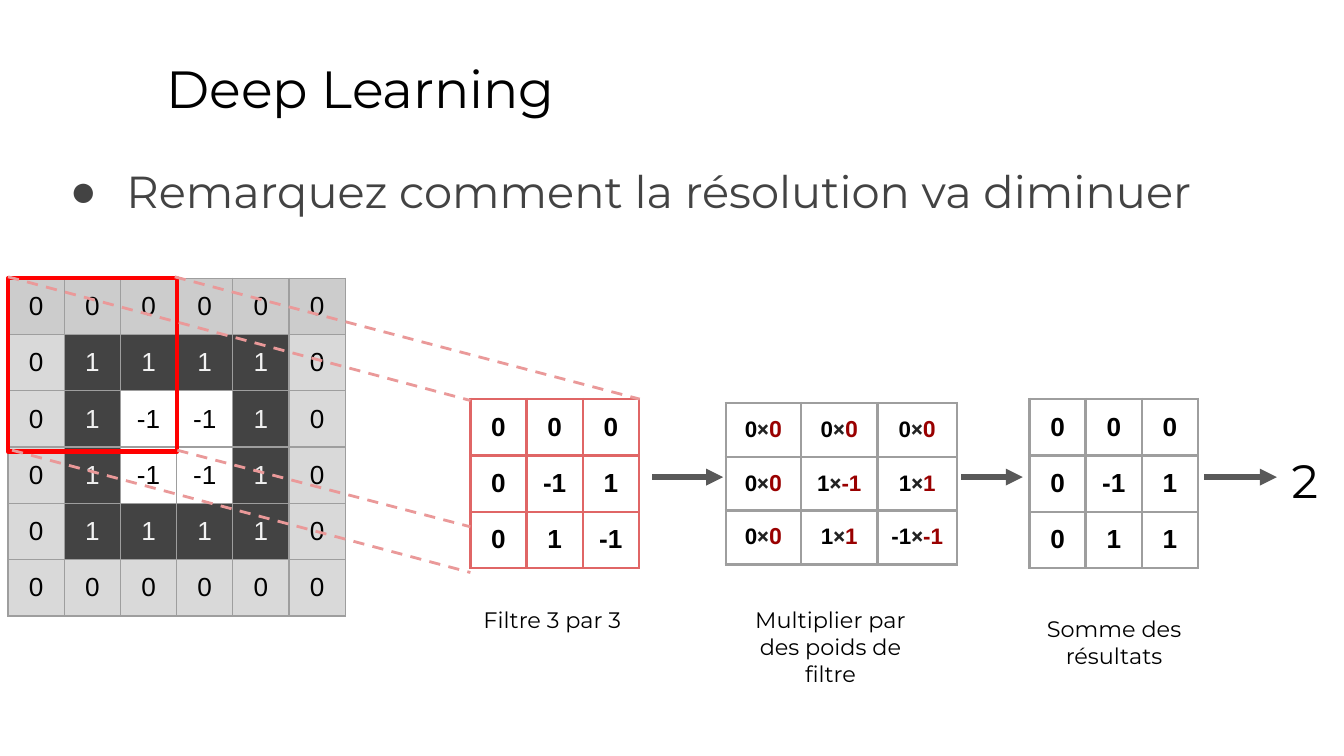
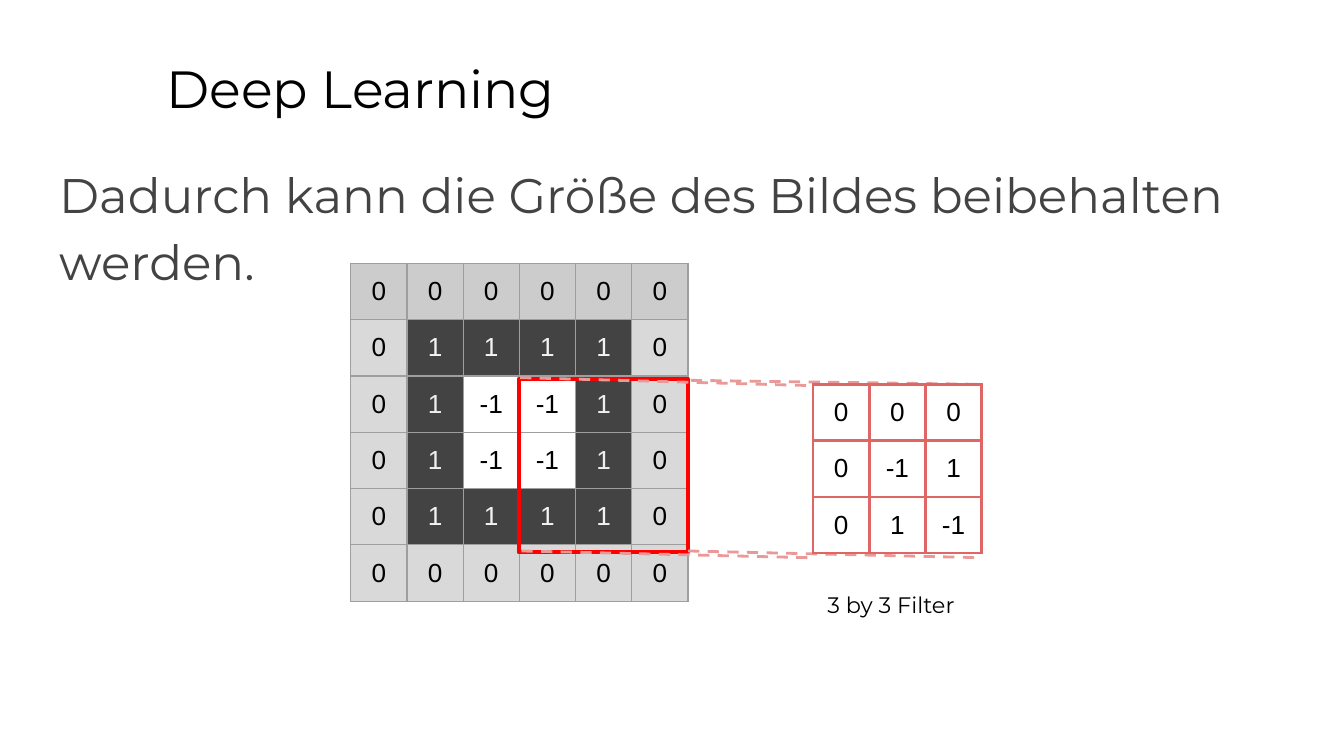
from lxml import etree
from pptx import Presentation
from pptx import util as u
from pptx.dml.color import RGBColor
from pptx.enum import dml, shapes, text
from pptx.oxml.ns import qn

SANS, HEADING = "Arial", "Montserrat"
BLACK, DARK, GREY, ARROW = "000000", "434343", "9E9E9E", "595959"
RED, ROSE, PINK = "FF0000", "E06666", "EA9999"
CELL_W, CELL_H = 2.51 / 6, 0.4

IMAGE = [
    [0, 0, 0, 0, 0, 0],
    [0, 1, 1, 1, 1, 0],
    [0, 1, -1, -1, 1, 0],
    [0, 1, -1, -1, 1, 0],
    [0, 1, 1, 1, 1, 0],
    [0, 0, 0, 0, 0, 0],
]
FILTER = [[0, 0, 0], [0, -1, 1], [0, 1, -1]]
RESULTS = [[0, 0, 0], [0, -1, 1], [0, 1, 1]]
PATCH = [row[:3] for row in IMAGE[:3]]


def rgb(value):
    return RGBColor.from_string(value)


def box(*lengths):
    return [u.Inches(n) for n in lengths]


# Text
def add_run(p, content, color=BLACK, **fmt):
    r = p.add_run()
    r.text = str(content)
    r.font.color.rgb = rgb(color)
    for name, value in fmt.items():
        setattr(r.font, name, value)


def set_frame(tf):
    frame = dict(word_wrap=True, auto_size=text.MSO_AUTO_SIZE.NONE,
                 vertical_anchor=text.MSO_ANCHOR.TOP)
    frame.update({f"margin_{side}": u.Inches(0.1)
                  for side in ("left", "right", "top", "bottom")})
    for name, value in frame.items():
        setattr(tf, name, value)
    return tf.paragraphs[0]


def fill_placeholder(sp, at, content, size, color):
    sp.left, sp.top, sp.width, sp.height = box(*at)
    p = set_frame(sp.text_frame)
    p.alignment = text.PP_ALIGN.LEFT
    p.space_before = u.Pt(0)
    add_run(p, content, color, size=u.Pt(size), name=HEADING)
    return p


def set_bullet(p, char=None):
    pPr = p._p.get_or_add_pPr()
    margin, indent = (0.5, -0.42) if char else (0, 0)
    pPr.set("marL", str(u.Inches(margin)))
    pPr.set("indent", str(u.Inches(indent)))
    if char:
        color = etree.SubElement(pPr, qn("a:buClr"))
        etree.SubElement(color, qn("a:srgbClr"), val=DARK)
        etree.SubElement(pPr, qn("a:buFont"), typeface=SANS)
        etree.SubElement(pPr, qn("a:buChar"), char=char)
    else:
        etree.SubElement(pPr, qn("a:buNone"))


def add_label(s, x, y, content, w=1.44, size=12):
    sp = s.shapes.add_textbox(*box(x, y, w, 0.43))
    p = set_frame(sp.text_frame)
    p.alignment = text.PP_ALIGN.CENTER
    add_run(p, content, size=u.Pt(size), name=HEADING)


def add_slide(prs, statement, size, bullet=None, space_after=0):
    s = prs.slides.add_slide(prs.slide_layouts[1])
    fill_placeholder(s.shapes.title, (1.14, 0.32, 8.52, 0.63),
                     "Deep Learning", 28, BLACK)
    p = fill_placeholder(s.placeholders[1], (0.34, 1.06, 9.32, 0.68),
                         statement, size, DARK)
    p.line_spacing = 1.15
    p.space_after = u.Pt(space_after)
    set_bullet(p, bullet)
    return s


# Lines and outlines
def add_line(s, start, end, color=PINK, width=1.5, arrow=False):
    c = s.shapes.add_connector(shapes.MSO_CONNECTOR.STRAIGHT,
                               *box(*start, *end))
    c.line.color.rgb = rgb(color)
    c.line.width = u.Pt(width)
    if arrow:
        etree.SubElement(c.line._get_or_add_ln(), qn("a:headEnd"),
                         type="triangle")
    else:
        c.line.dash_style = dml.MSO_LINE.DASH
    etree.SubElement(c._element.spPr, qn("a:effectLst"))


def add_window(s, x, y):
    sp = s.shapes.add_shape(shapes.MSO_SHAPE.RECTANGLE,
                            *box(x, y, 1.26, 1.29))
    sp.shadow.inherit = False
    sp.fill.background()
    sp.line.color.rgb = rgb(RED)
    sp.line.width = u.Pt(2.25)


# Tables
def set_borders(cell, color, width):
    tcPr = cell._tc.get_or_add_tcPr()
    for side in ("lnL", "lnR", "lnT", "lnB"):
        ln = etree.SubElement(tcPr, qn(f"a:{side}"), w=str(u.Pt(width)))
        fill = etree.SubElement(ln, qn("a:solidFill"))
        etree.SubElement(fill, qn("a:srgbClr"), val=color)


def add_grid(s, x, y, rows, line, width, write, widths=None):
    """Draw a square grid; write(p, row, column) fills a cell, returns its fill."""
    widths = widths or [CELL_W] * len(rows[0])
    tbl = s.shapes.add_table(len(rows), len(widths),
                             *box(x, y, sum(widths), CELL_H * len(rows))).table
    tbl.first_row = tbl.horz_banding = False
    for column, w in zip(tbl.columns, widths):
        column.width = u.Inches(w)
    for i, row in enumerate(tbl.rows):
        row.height = u.Inches(CELL_H)
        for j, cell in enumerate(row.cells):
            for side in ("left", "right", "top", "bottom"):
                setattr(cell, f"margin_{side}", u.Inches(0.1))
            set_borders(cell, line, width)
            p = cell.text_frame.paragraphs[0]
            p.alignment = text.PP_ALIGN.CENTER
            fill = write(p, i, j)
            if fill:
                cell.fill.solid()
                cell.fill.fore_color.rgb = rgb(fill)
            else:
                cell.fill.background()


def add_image_grid(s, x, y):
    def write(p, i, j):
        value = IMAGE[i][j]
        light = "EFEFEF" if -1 in IMAGE[i] else "F3F3F3"
        add_run(p, value, light if value == 1 else BLACK,
                size=u.Pt(14), name=SANS)
        border = "CCCCCC" if i == 0 else "D9D9D9"
        return {0: border, 1: DARK, -1: None}[value]
    add_grid(s, x, y, IMAGE, GREY, 0.75, write)


def add_value_grid(s, x, y, values, line, bold=True):
    def write(p, i, j):
        add_run(p, values[i][j], size=u.Pt(14), name=SANS, bold=bold)
    add_grid(s, x, y, values, line, 1.5, write)


def add_product_grid(s, x, y):
    def write(p, i, j):
        weight = FILTER[i][j]
        fmt = dict(size=u.Pt(12), bold=True)
        add_run(p, PATCH[i][j], name=SANS, **fmt)
        add_run(p, "×", "222222", name="Roboto", **fmt)
        add_run(p, weight, "990000", name=SANS if weight else "Roboto", **fmt)
    add_grid(s, x, y, FILTER, GREY, 1.5, write, [0.56, 0.57, 0.59])


# Slides
def resolution_slide(prs):
    s = add_slide(prs, "Remarquez comment la résolution va diminuer", 24, "●")
    add_image_grid(s, 0.06, 2.07)
    add_window(s, 0.06, 2.07)
    add_value_grid(s, 3.5, 2.97, FILTER, ROSE)
    for start, end in [((1.3, 2.06), (4.76, 2.97)), ((0.06, 2.06), (3.5, 2.98)),
                       ((0.09, 3.35), (3.5, 4.26)), ((1.32, 3.35), (3.5, 3.92))]:
        add_line(s, start, end)
    for tip, tail in [(5.38, 4.85), (7.61, 7.15), (9.5, 8.96)]:
        add_line(s, (tip, 3.55), (tail, 3.55), ARROW, 3, arrow=True)
    add_value_grid(s, 7.66, 2.97, RESULTS, GREY)
    add_product_grid(s, 5.4, 3)
    add_label(s, 3.39, 4.41, "Filtre 3 par 3")
    add_label(s, 5.46, 4.41, "Multiplier par des poids de filtre")
    add_label(s, 7.57, 4.48, "Somme des résultats")
    add_label(s, 9.46, 3.26, "2", w=0.5, size=25)


def padding_slide(prs):
    s = add_slide(prs, "Dadurch kann die Größe des Bildes beibehalten werden.",
                  26, space_after=16)
    add_image_grid(s, 2.61, 1.96)
    add_window(s, 3.86, 2.82)
    for start, end in [((5.14, 2.83), (7.31, 2.86)), ((3.87, 2.81), (6.05, 2.87)),
                       ((3.88, 4.1), (6.04, 4.15)), ((5.12, 4.1), (7.31, 4.15))]:
        add_line(s, start, end)
    add_value_grid(s, 6.05, 2.86, FILTER, ROSE, bold=False)
    add_label(s, 5.91, 4.3, "3 by 3 Filter")


def main():
    prs = Presentation()
    # Widescreen, 16:9
    prs.slide_width = u.Inches(10)
    prs.slide_height = u.Inches(10 * 9 / 16)
    resolution_slide(prs)
    padding_slide(prs)
    prs.save("out.pptx")


if __name__ == "__main__":
    main()
